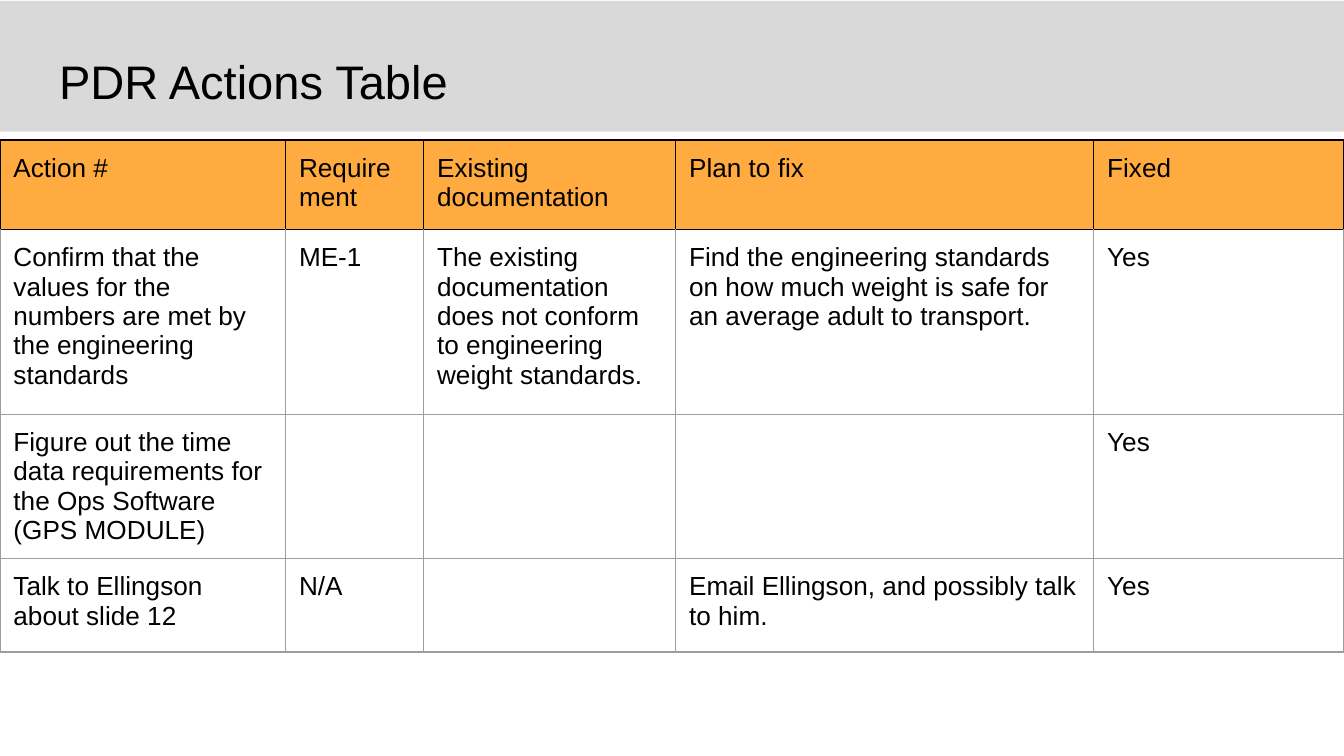
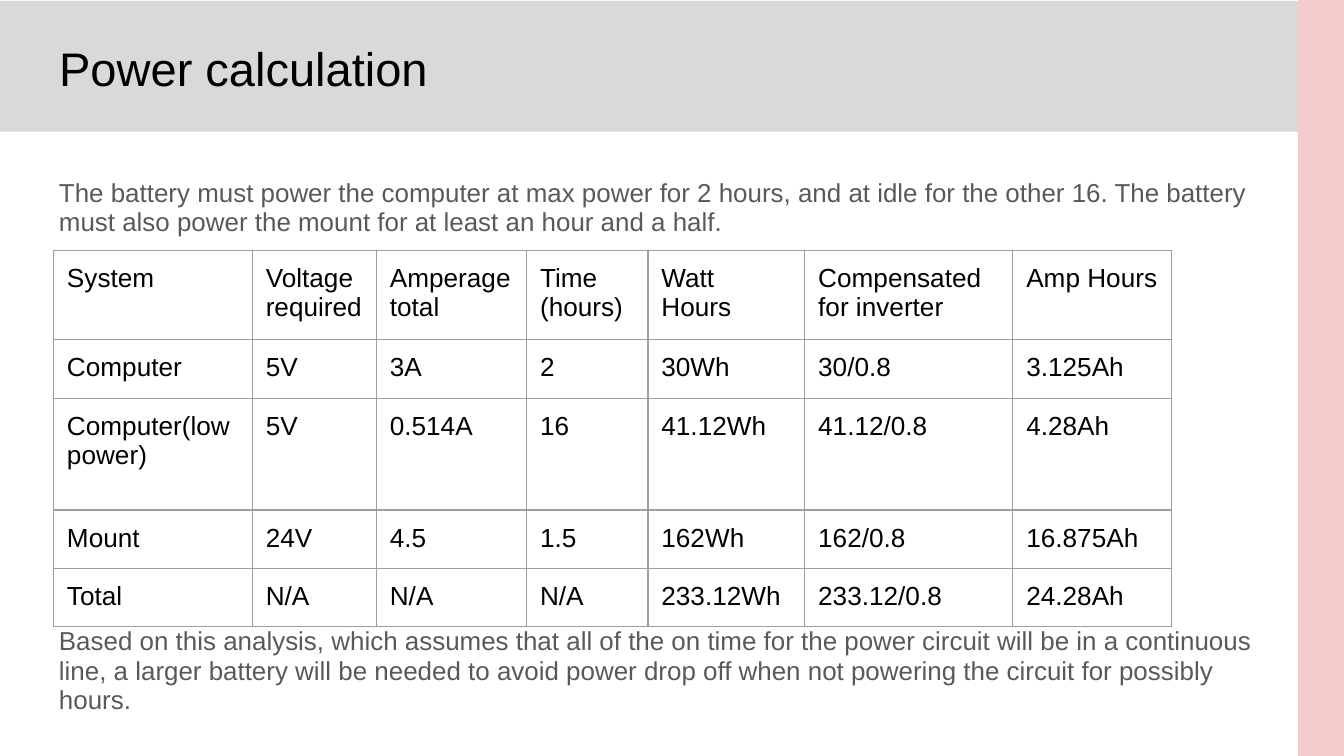
import dataclasses

import pptx
import pptx.dml.color
import pptx.enum.shapes
import pptx.enum.text
import pptx.oxml
import pptx.oxml.ns
import pptx.util

Pt = pptx.util.Pt


@dataclasses.dataclass(frozen=True)
class Theme:
    font: str = "Arial"
    ink: str = "000000"
    body: str = "595959"
    band: str = "D9D9D9"
    strip: str = "F4CCCC"
    header: str = "FFAB40"
    grid: str = "9E9E9E"
    title_size: float = 25.2
    body_size: float = 13.9
    cell_size: float = 14
    inset: float = 7.2
    rule: float = 0.75


THEME = Theme()
WIDTH, HEIGHT = 720, 405

ACTIONS = [
    ["Action #", "Requirement", "Existing documentation", "Plan to fix", "Fixed"],
    ["Confirm that the values for the numbers are met by the engineering standards", "ME-1",
     "The existing documentation does not conform to engineering weight standards.",
     "Find the engineering standards on how much weight is safe for an average adult to transport.",
     "Yes"],
    ["Figure out the time data requirements for the Ops Software (GPS MODULE)", "", "", "", "Yes"],
    ["Talk to Ellingson about slide 12", "N/A", "",
     "Email Ellingson, and possibly talk to him.", "Yes"],
]
POWER = [
    ["System", "Voltage required", "Amperage total", "Time (hours)", "Watt Hours",
     "Compensated for inverter", "Amp Hours"],
    ["Computer", "5V", "3A", "2", "30Wh", "30/0.8", "3.125Ah"],
    ["Computer(low power)", "5V", "0.514A", "16", "41.12Wh", "41.12/0.8", "4.28Ah"],
    ["Mount", "24V", "4.5", "1.5", "162Wh", "162/0.8", "16.875Ah"],
    ["Total", "N/A", "N/A", "N/A", "233.12Wh", "233.12/0.8", "24.28Ah"],
]
REQUIREMENT = ("The battery must power the computer at max power for 2 hours, and at idle for the "
               "other 16. The battery must also power the mount for at least an hour and a half.")
CONCLUSION = ("Based on this analysis, which assumes that all of the on time for the power circuit "
              "will be in a continuous line, a larger battery will be needed to avoid power drop off "
              "when not powering the circuit for possibly hours.")


def rgb(color):
    return pptx.dml.color.RGBColor.from_string(color)


def write(frame, *texts, size, color=THEME.ink, spacing=None, gap=None):
    """Fill a text frame with paragraphs, with gap points between them."""
    frame.word_wrap = True
    for index, text in enumerate(texts):
        paragraph = frame.add_paragraph() if index else frame.paragraphs[0]
        paragraph.text = text
        paragraph.alignment = pptx.enum.text.PP_ALIGN.LEFT
        paragraph.line_spacing = spacing
        if index and gap:
            paragraph.space_before = Pt(gap)
        paragraph.font.name = THEME.font
        paragraph.font.size = Pt(size)
        paragraph.font.color.rgb = rgb(color)


def set_insets(frame):
    frame.margin_left = frame.margin_right = Pt(THEME.inset)
    frame.margin_top = frame.margin_bottom = Pt(THEME.inset)


def add_block(slide, box, color):
    block = slide.shapes.add_shape(pptx.enum.shapes.MSO_SHAPE.RECTANGLE, *map(Pt, box))
    block.shadow.inherit = False
    block.fill.solid()
    block.fill.fore_color.rgb = rgb(color)
    block.line.fill.background()
    return block


def add_titled_slide(deck, heading, title_top):
    slide = deck.slides.add_slide(deck.slide_layouts[5])
    # Grey band, placed behind the title
    band = add_block(slide, (0, 0.5, WIDTH, 70), THEME.band)
    slide.shapes._spTree.insert(2, band._element)
    # Title
    title = slide.shapes.title
    title.left, title.top, title.width, title.height = map(Pt, (24.5, title_top, 671, 45))
    frame = title.text_frame
    write(frame, heading, size=THEME.title_size)
    set_insets(frame)
    frame.auto_size = pptx.enum.text.MSO_AUTO_SIZE.NONE
    frame.vertical_anchor = pptx.enum.text.MSO_ANCHOR.BOTTOM
    return slide


def set_borders(cell, left, right, top, bottom):
    properties = cell._tc.get_or_add_tcPr()
    for side, color in zip("LRTB", (left, right, top, bottom)):
        properties.append(pptx.oxml.parse_xml(
            f'<a:ln{side} {pptx.oxml.ns.nsdecls("a")} w="{Pt(THEME.rule)}">'
            f'<a:solidFill><a:srgbClr val="{color}"/></a:solidFill></a:ln{side}>'))


def add_grid(slide, left, top, widths, heights, rows, header_fill=None):
    table = slide.shapes.add_table(len(heights), len(widths), Pt(left), Pt(top),
                                   Pt(sum(widths)), Pt(sum(heights))).table
    table.first_row = table.horz_banding = False
    for column, width in zip(table.columns, widths):
        column.width = Pt(width)
    for row, height in zip(table.rows, heights):
        row.height = Pt(height)
    for r, texts in enumerate(rows):
        # A filled header has dark rules, shared with the row below it
        filled = header_fill and r == 0
        side = THEME.ink if filled else THEME.grid
        above = THEME.ink if header_fill and r < 2 else THEME.grid
        for c, text in enumerate(texts):
            cell = table.cell(r, c)
            write(cell.text_frame, text, size=THEME.cell_size)
            set_insets(cell)
            set_borders(cell, side, side, above, side)
            if filled:
                cell.fill.solid()
                cell.fill.fore_color.rgb = rgb(header_fill)
            else:
                cell.fill.background()


def add_analysis(slide, left, top, width, height):
    frame = slide.shapes.add_textbox(*map(Pt, (left, top, width, height))).text_frame
    set_insets(frame)
    # The gap leaves room for the table between the two paragraphs
    write(frame, REQUIREMENT, CONCLUSION, size=THEME.body_size, color=THEME.body,
          spacing=0.95, gap=208.5)


def build_actions_slide(deck):
    slide = add_titled_slide(deck, "PDR Actions Table", 20.5)
    add_grid(slide, 0, 75, (153, 74, 135, 224, 134), (48, 99, 77, 50), ACTIONS, THEME.header)


def build_power_slide(deck):
    slide = add_titled_slide(deck, "Power calculation", 13.5)
    add_analysis(slide, 24.5, 88.5, 671, 316.5)
    # Pink strip down the right edge
    add_block(slide, (WIDTH - 24.5, 0, 24.5, HEIGHT), THEME.strip)
    add_grid(slide, 28.7, 134, (106.5, 66.5, 80.5, 65, 84, 111.5, 85), (48, 31, 60, 31, 31), POWER)


def main():
    deck = pptx.Presentation()
    deck.slide_width, deck.slide_height = Pt(WIDTH), Pt(HEIGHT)
    build_actions_slide(deck)
    build_power_slide(deck)
    deck.save("out.pptx")


if __name__ == "__main__":
    main()
